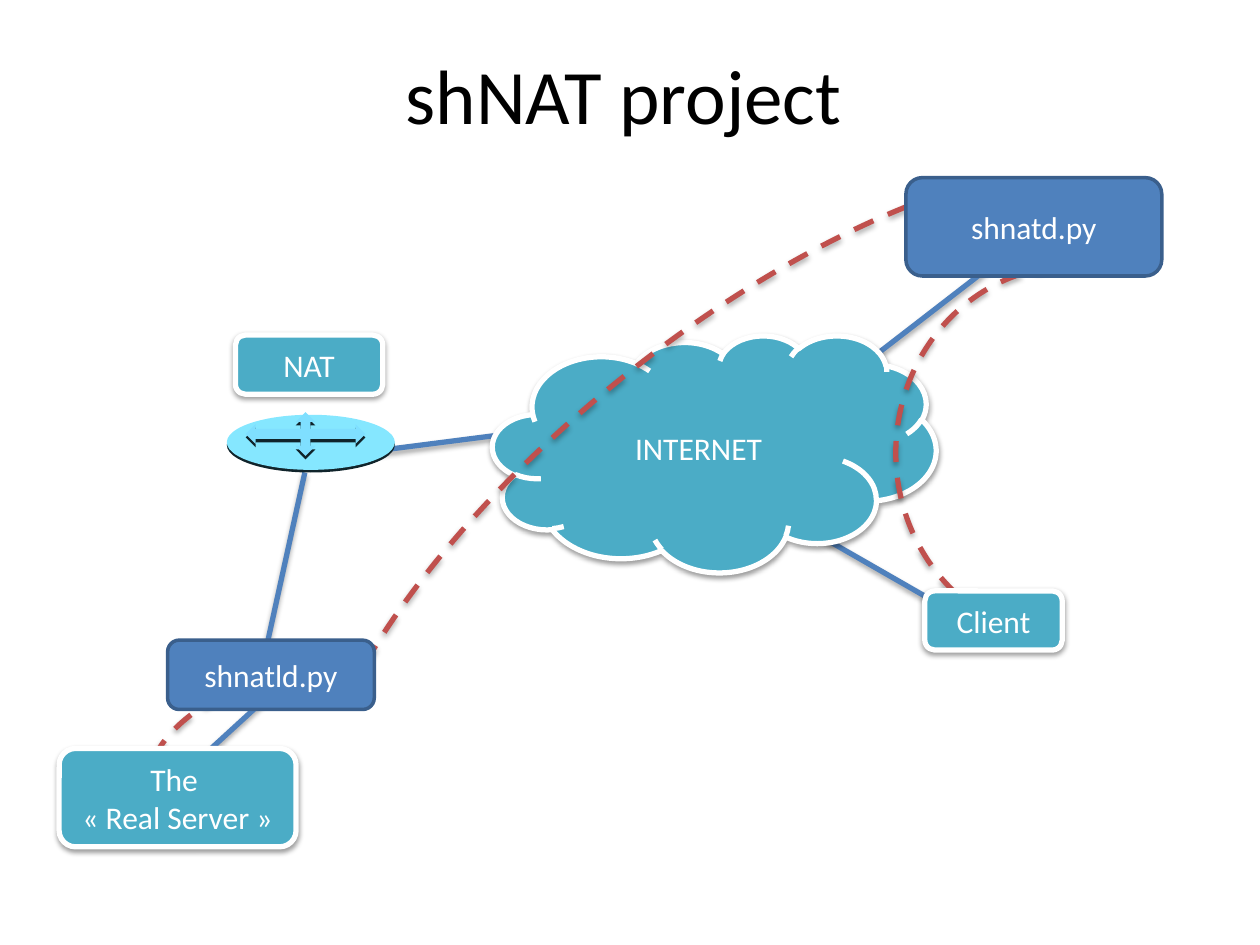
"""Build the shNAT project network diagram slide."""
from lxml.etree import SubElement
from pptx import Presentation
from pptx.dml.color import RGBColor
from pptx.enum.dml import MSO_LINE
from pptx.enum.shapes import MSO_CONNECTOR, MSO_SHAPE
from pptx.enum.text import MSO_ANCHOR, PP_ALIGN
from pptx.oxml.ns import qn
from pptx.util import Pt

BLUE, TEAL, RED, WHITE = "4F81BD", "4BACC6", "C0504D", "FFFFFF"


def color(value):
    return RGBColor.from_string(value)


def add_shadow(shape, opacity, distance):
    effects = shape._element.spPr.get_or_add_effectLst() if hasattr(
        shape._element.spPr, "get_or_add_effectLst") else SubElement(shape._element.spPr, qn("a:effectLst"))
    shadow = SubElement(effects, qn("a:outerShdw"), blurRad=str(Pt(3.1)),
                        dist=str(Pt(distance)), dir="5400000", rotWithShape="0")
    black = SubElement(shadow, qn("a:srgbClr"), val="000000")
    SubElement(black, qn("a:alpha"), val=str(opacity * 1000))


presentation = Presentation()
presentation.slide_width, presentation.slide_height = Pt(720), Pt(540)
slide = presentation.slides.add_slide(presentation.slide_layouts[6])

title = slide.shapes.add_textbox(Pt(50.4), Pt(22.3), Pt(612), Pt(62))
title.text_frame.word_wrap = True
title.text_frame.vertical_anchor = MSO_ANCHOR.MIDDLE
paragraph = title.text_frame.paragraphs[0]
paragraph.alignment = PP_ALIGN.CENTER
run = paragraph.add_run()
run.text = "shNAT project"
run.font.name, run.font.size = "Calibri", Pt(44)
run.font.color.rgb = color("000000")

links = [
    (472.3, 224.6, 573.8, 146.2),
    (444.2, 292.3, 562.3, 360),
    (208.1, 258.5, 337.7, 241.9),
    (151.9, 371.5, 174.2, 270),
    (157.7, 393.8, 90, 455.8),
]
for ends in links:
    link = slide.shapes.add_connector(MSO_CONNECTOR.STRAIGHT, *map(Pt, ends))
    link.line.color.rgb = color(BLUE)
    link.line.width = Pt(3)
    add_shadow(link, 35, 1.8)

router_parts = [
    (MSO_SHAPE.OVAL, (129.6, 238.5, 96, 31.5), "10242B"),
    (MSO_SHAPE.OVAL, (129.6, 237, 96, 31.5), "85E7FF"),
    (MSO_SHAPE.QUAD_ARROW, (140.4, 237.5, 68.4, 25), "10242B"),
    (MSO_SHAPE.QUAD_ARROW, (140.4, 235.5, 68.4, 25), "7FDFFF"),
]
for kind, box, fill in router_parts:
    part = slide.shapes.add_shape(kind, *map(Pt, box))
    part.shadow.inherit = False
    part.fill.solid()
    part.fill.fore_color.rgb = color(fill)
    part.line.fill.background()

cloud = (MSO_SHAPE.CLOUD, (281.5, 191.5, 253.4, 135.4), TEAL, ["INTERNET"])
nat = (MSO_SHAPE.ROUNDED_RECTANGLE, (134.6, 191.5, 84.2, 33.8), TEAL, ["NAT"])
server = (MSO_SHAPE.ROUNDED_RECTANGLE, (33.8, 427.7, 135.4, 56.2), TEAL, ["The ", "« Real Server »"])
local_daemon = (MSO_SHAPE.ROUNDED_RECTANGLE, (95.8, 365.8, 118.1, 39.6), BLUE, ["shnatld.py"])
daemon = (MSO_SHAPE.ROUNDED_RECTANGLE, (517.7, 101.5, 146.2, 56.2), BLUE, ["shnatd.py"])
client = (MSO_SHAPE.ROUNDED_RECTANGLE, (528.5, 337.7, 78.5, 33.8), TEAL, ["Client"])
client_tunnel = ((511.9, 151.9, 202.3, 213.8), 0, (130, 270))
server_tunnel = ((117.4, 352.1, 85.7, 155.5), 252.2, (285, 340))
main_tunnel = ((119.5, 187.9, 633.6, 261.4), 141.1, (24, 152))

layers = [
    ([], [nat, cloud]),
    ([client_tunnel, server_tunnel], [server]),
    ([main_tunnel], [local_daemon, daemon, client]),
]
for tunnels, nodes in layers:
    for box, rotation, angles in tunnels:
        arc = slide.shapes.add_shape(MSO_SHAPE.ARC, *map(Pt, box))
        arc.rotation = rotation
        for index, angle in enumerate(angles):
            arc.adjustments[index] = angle * 0.6
        arc.fill.background()
        arc.line.color.rgb = color(RED)
        arc.line.width = Pt(3)
        arc.line.dash_style = MSO_LINE.DASH
        add_shadow(arc, 35, 1.8)

    for kind, box, fill, lines in nodes:
        node = slide.shapes.add_shape(kind, *map(Pt, box))
        node.shadow.inherit = False
        node.fill.solid()
        node.fill.fore_color.rgb = color(fill)
        node.line.color.rgb = color(WHITE if fill == TEAL else "3A5F8C")
        node.line.width = Pt(3 if fill == TEAL else 2)
        if fill == TEAL:
            add_shadow(node, 38, 1.6)
        node.text_frame.word_wrap = True
        node.text_frame.vertical_anchor = MSO_ANCHOR.MIDDLE
        paragraph = node.text_frame.paragraphs[0]
        paragraph.alignment = PP_ALIGN.CENTER
        for index, text in enumerate(lines):
            if index:
                paragraph.add_line_break()
            run = paragraph.add_run()
            run.text = text
            run.font.name, run.font.size = "Calibri", Pt(18)
            run.font.color.rgb = color(WHITE)

presentation.save("out.pptx")
